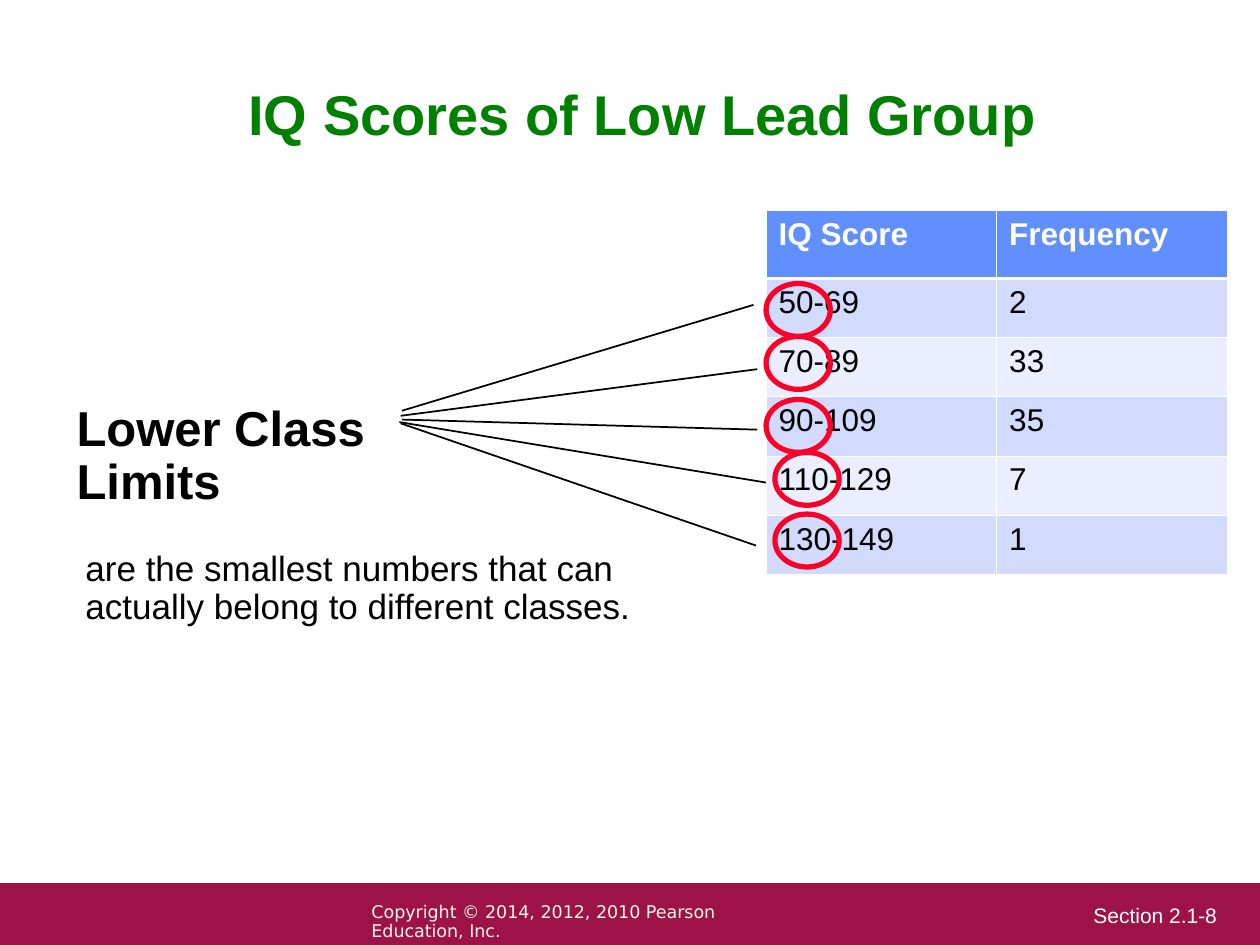
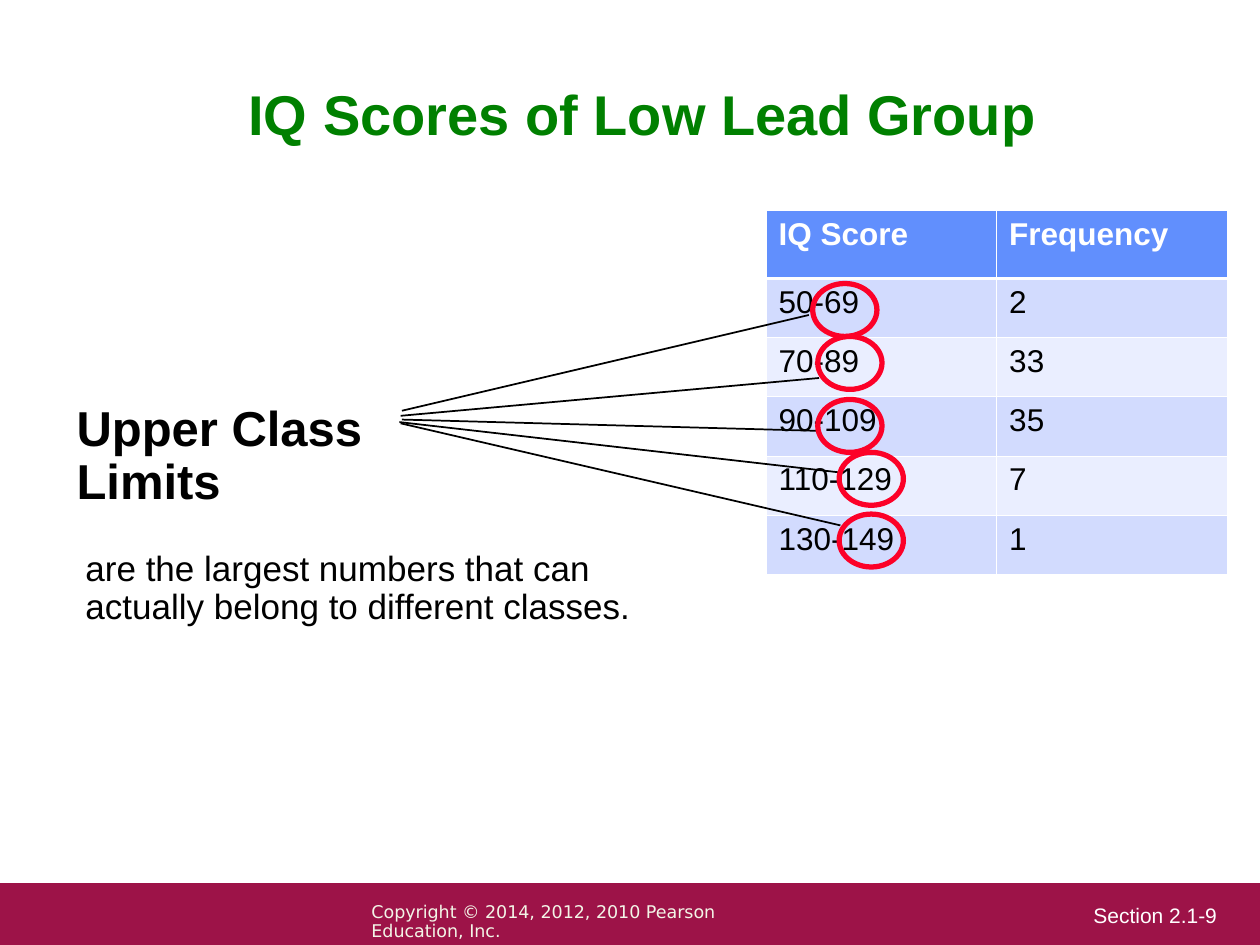
from lxml import etree
from pptx import Presentation
from pptx.dml.color import RGBColor
from pptx.enum.shapes import MSO_CONNECTOR, MSO_SHAPE
from pptx.enum.text import MSO_ANCHOR, PP_ALIGN
from pptx.oxml.ns import qn
from pptx.util import Inches, Pt

RECT, OVAL = MSO_SHAPE.RECTANGLE, MSO_SHAPE.OVAL
STRAIGHT = MSO_CONNECTOR.STRAIGHT
MIDDLE, CENTER = MSO_ANCHOR.MIDDLE, PP_ALIGN.CENTER

BLACK = RGBColor(0x00, 0x00, 0x00)
WHITE = RGBColor(0xFF, 0xFF, 0xFF)
GREEN = RGBColor(0x00, 0x80, 0x00)
RED = RGBColor(0xFC, 0x01, 0x28)
MAROON = RGBColor(0x9D, 0x13, 0x48)
CREAM = RGBColor(0xF3, 0xF5, 0xE7)
HEADER_BLUE = RGBColor(0x61, 0x8F, 0xFD)
BAND_DARK = RGBColor(0xD2, 0xDB, 0xFE)
BAND_LIGHT = RGBColor(0xEA, 0xEE, 0xFF)

FONT = "Arial"
TITLE = "IQ Scores of Low Lead Group"
COPYRIGHT = "Copyright © 2014, 2012, 2010 Pearson Education, Inc."
SCORES = [("IQ Score", "Frequency"), ("50-69", "2"), ("70-89", "33"),
          ("90-109", "35"), ("110-129", "7"), ("130-149", "1")]

# One entry per class, from the top row down
CIRCLE_TOPS = [2.25, 2.67, 3.17, 3.59, 4.08]
LINE_STARTS = [(3.19, 3.26), (3.18, 3.3), (3.19, 3.33), (3.17, 3.35), (3.18, 3.36)]

SLIDES = [
    dict(section="Section 2.1-8", term="Lower Class\nLimits",
         meaning="are the smallest numbers that can actually belong to different classes.",
         circle_lefts=[6.08, 6.08, 6.08, 6.15, 6.15],
         line_ends=[(5.98, 2.42), (6.01, 2.93), (6.01, 3.41), (6.08, 3.83), (6, 4.33)]),
    dict(section="Section 2.1-9", term="Upper Class\nLimits",
         meaning="are the largest numbers that can actually belong to different classes.",
         circle_lefts=[6.45, 6.49, 6.49, 6.66, 6.66],
         line_ends=[(6.42, 2.5), (6.5, 3), (6.5, 3.42), (6.67, 3.75), (6.67, 4.17)]),
]


def box(left, top, width, height):
    return Inches(left), Inches(top), Inches(width), Inches(height)


def write(tf, text, size, color, bold=False, font=FONT, spacing=None):
    tf.text = text
    for p in tf.paragraphs:
        p.line_spacing = spacing
        for r in p.runs:
            r.font.name = font
            r.font.size = Pt(size)
            r.font.bold = bold
            r.font.color.rgb = color


def add_text(s, place, text, size, color, bold=False, font=FONT):
    tf = s.shapes.add_textbox(*box(*place)).text_frame
    tf.word_wrap = True
    write(tf, text, size, color, bold, font, spacing=0.9)


def add_title(s, text):
    sp = s.shapes.title
    sp.left, sp.top, sp.width, sp.height = box(0.4, 0.23, 9.4, 1.4)
    tf = sp.text_frame
    tf.vertical_anchor = MIDDLE
    write(tf, text, 32, GREEN, bold=True, spacing=0.9)
    tf.paragraphs[0].alignment = CENTER


def add_footer(s, section):
    band = s.shapes.add_shape(RECT, *box(0, 7.01, 10, 0.49))
    band.shadow.inherit = False
    band.fill.solid()
    band.fill.fore_color.rgb = MAROON
    band.line.fill.background()
    add_text(s, (8.58, 7.14, 1.4, 0.26), section, 12, WHITE)
    add_text(s, (2.85, 7.12, 3.6, 0.25), COPYRIGHT, 10, CREAM, font="DejaVu Sans")


def set_borders(cell, **widths):
    """Draw white cell borders; widths maps lnL, lnR, lnT and lnB to points."""
    tc_pr = cell._tc.get_or_add_tcPr()
    for i, (side, width) in enumerate(widths.items()):
        ln = etree.Element(qn(f"a:{side}"), w=str(Pt(width)))
        fill = etree.SubElement(ln, qn("a:solidFill"))
        etree.SubElement(fill, qn("a:srgbClr"), val=str(WHITE))
        tc_pr.insert(i, ln)


def add_score_table(s):
    place = box(6.08, 1.67, 3.66, 2.9)
    table = s.shapes.add_table(len(SCORES), 2, *place).table
    for col in table.columns:
        col.width = Inches(1.83)
    for i, values in enumerate(SCORES):
        header = i == 0
        table.rows[i].height = Inches(0.54 if header else 0.47)
        fill = HEADER_BLUE if header else BAND_DARK if i % 2 else BAND_LIGHT
        for j, value in enumerate(values):
            cell = table.cell(i, j)
            write(cell.text_frame, value, 18, WHITE if header else BLACK, bold=header)
            cell.fill.solid()
            cell.fill.fore_color.rgb = fill
            set_borders(cell, lnL=0.45, lnR=0.45,
                        lnT=1.47 if i == 1 else 0.45, lnB=1.47 if header else 0.45)


def add_line(s, start, end):
    points = [Inches(v) for v in (*start, *end)]
    line = s.shapes.add_connector(STRAIGHT, *points)
    line.line.color.rgb = BLACK
    line.line.width = Pt(1)
    etree.SubElement(line._element.spPr, qn("a:effectLst"))


def add_circle(s, left, top):
    sp = s.shapes.add_shape(OVAL, *box(left, top, 0.51, 0.42))
    sp.shadow.inherit = False
    sp.fill.background()
    sp.line.color.rgb = RED
    sp.line.width = Pt(3)


def add_limits_slide(prs, section, term, meaning, circle_lefts, line_ends):
    s = prs.slides.add_slide(prs.slide_layouts[5])
    add_footer(s, section)
    add_score_table(s)
    add_title(s, TITLE)
    add_text(s, (0.51, 3.16, 2.6, 1.1), term, 28, BLACK, bold=True)
    for start, end in zip(LINE_STARTS, line_ends):
        add_line(s, start, end)
    for left, top in zip(circle_lefts, CIRCLE_TOPS):
        add_circle(s, left, top)
    add_text(s, (0.58, 4.33, 5, 0.7), meaning, 20, BLACK)


def main():
    prs = Presentation()
    prs.slide_width, prs.slide_height = Inches(10), Inches(7.5)
    for content in SLIDES:
        add_limits_slide(prs, **content)
    prs.save("out.pptx")


if __name__ == "__main__":
    main()
